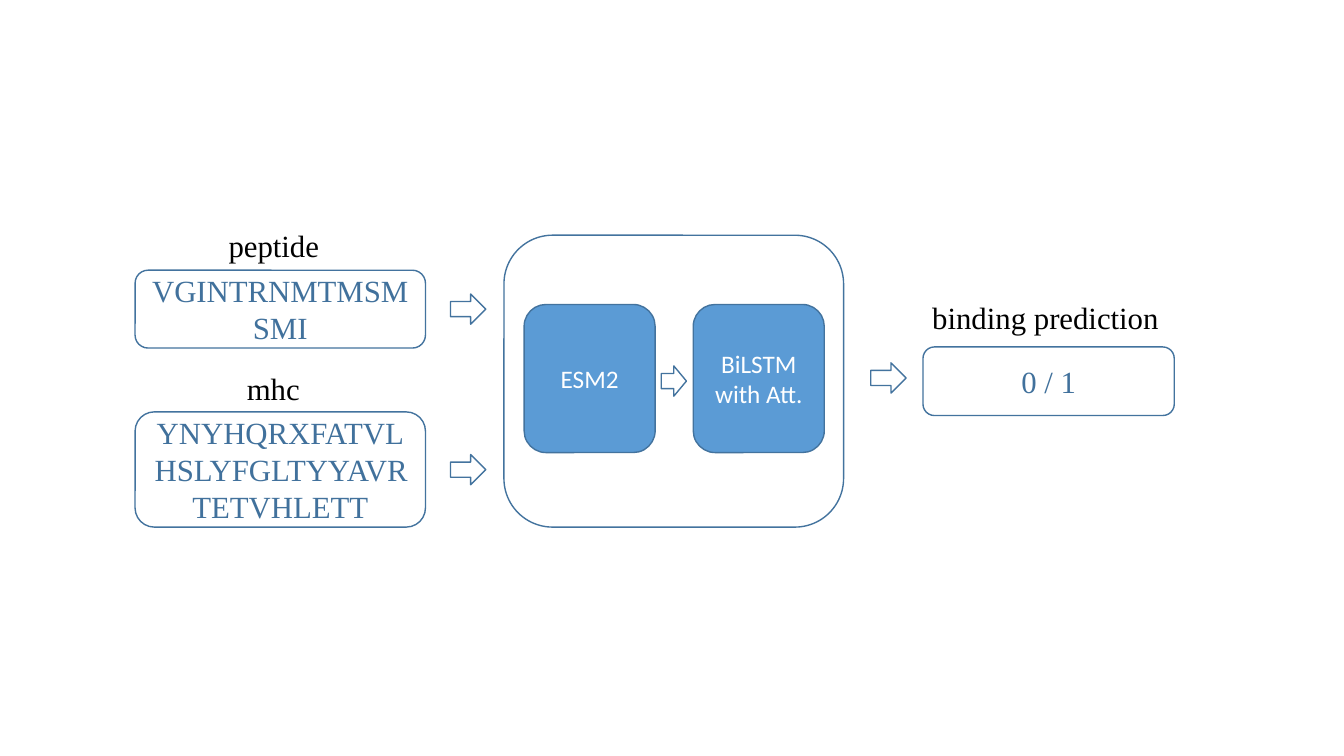
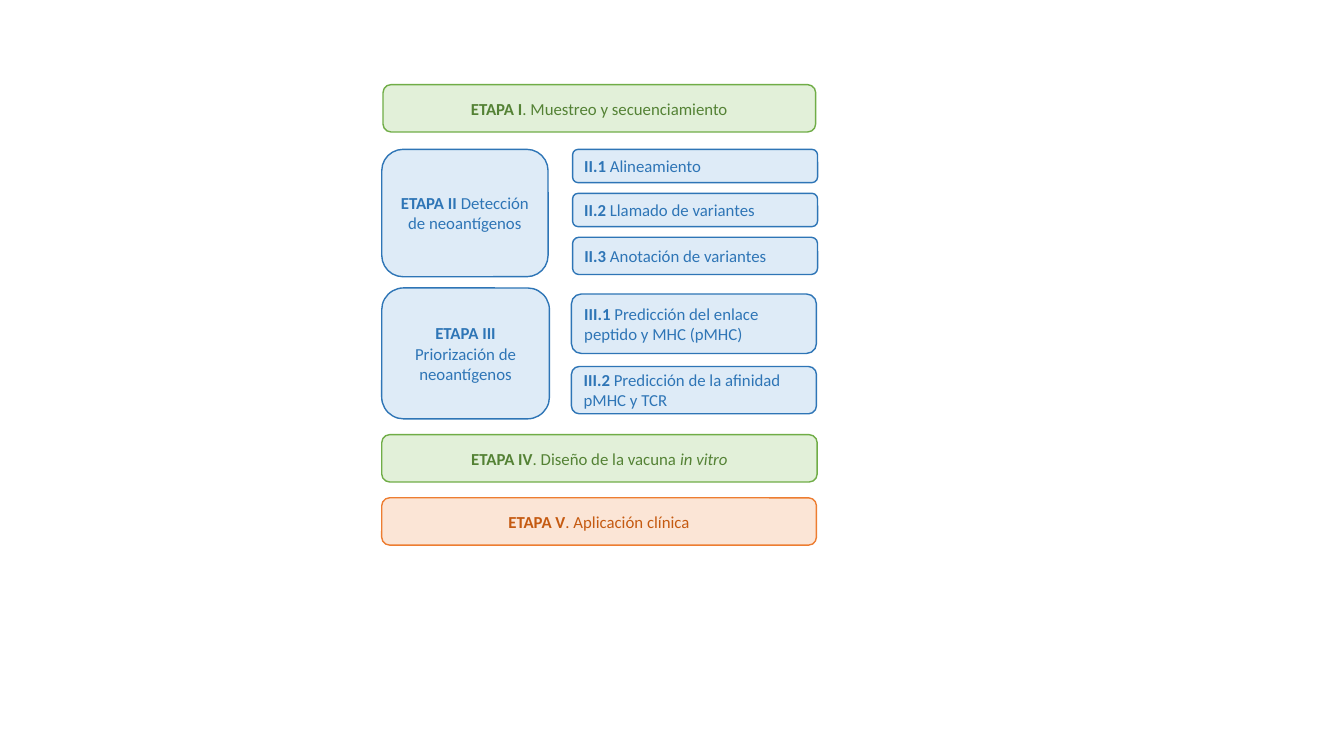
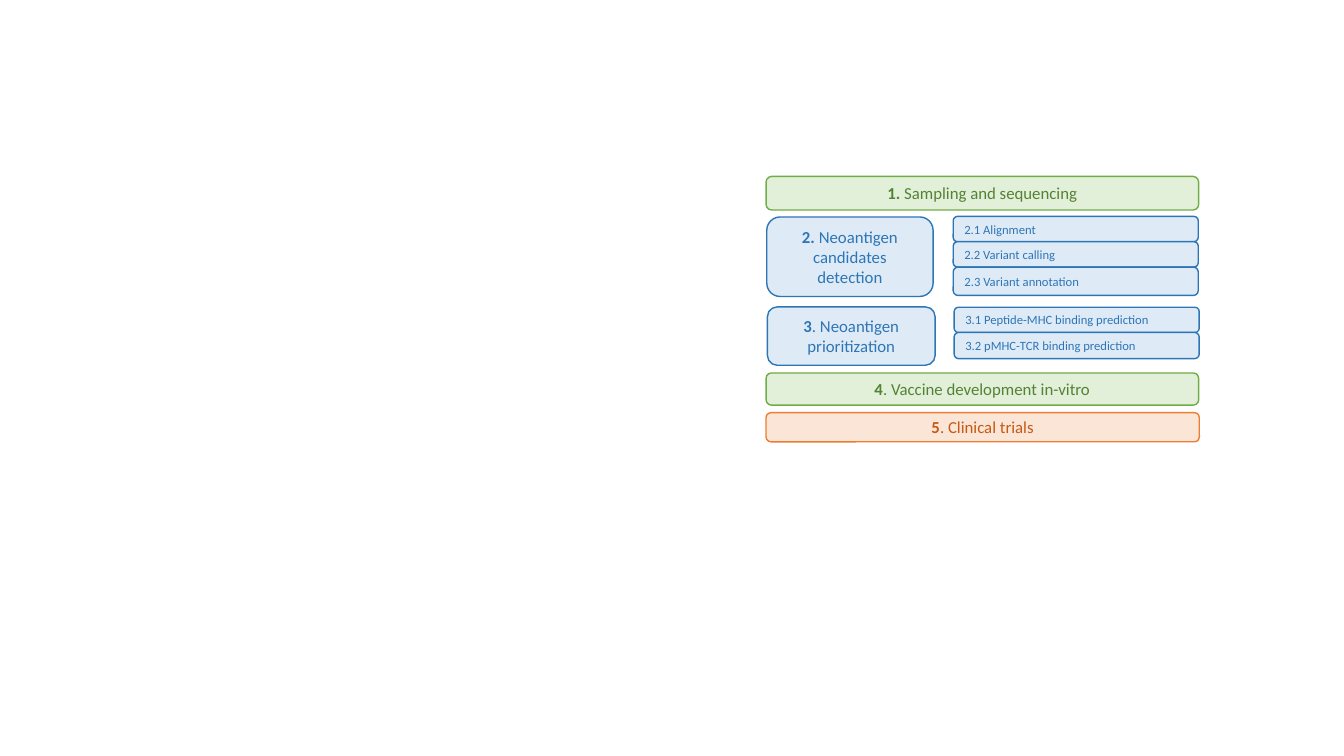
from pptx import Presentation
from pptx.dml.color import RGBColor
from pptx.enum.shapes import MSO_SHAPE as Shape
from pptx.enum.text import MSO_ANCHOR as Anchor, MSO_AUTO_SIZE as AutoSize, PP_ALIGN as Align
from pptx.util import Pt

SANS, SERIF = "Calibri", "Times New Roman"
COLORS = {
    "black": "000000", "white": "FFFFFF",
    "model": "5B9BD5", "outline": "43739E", "sequence": "41719C",
}
# Stage palettes: fill, line, text
STAGES = {
    "green": ("E2F0D9", "70AD47", "548235"),
    "blue": ("DEEBF7", "2E75B6", "2E75B6"),
    "orange": ("FBE5D6", "ED7D31", "C55A11"),
}


def rgb(hex_color):
    return RGBColor.from_string(hex_color)


def add_block(slide, kind, box, line, fill=None):
    """Outlined preset shape, hollow unless a fill is given."""
    sp = slide.shapes.add_shape(kind, *map(Pt, box))
    sp.shadow.inherit = False
    if fill:
        sp.fill.solid()
        sp.fill.fore_color.rgb = rgb(fill)
    else:
        sp.fill.background()
    sp.line.color.rgb = rgb(line)
    sp.line.width = Pt(1)
    return sp


def style(p, font, size, color, align):
    p.alignment = align
    p.font.name = font
    p.font.size = Pt(size)
    p.font.color.rgb = rgb(color)


def add_runs(p, **parts):
    """Lead in bold, then body, then an italic tail."""
    for name, text in parts.items():
        if text:
            r = p.add_run()
            r.text = text
            if name == "lead":
                r.font.bold = True
            elif name == "tail":
                r.font.italic = True


def add_box(slide, box, lines, font, size, color, fill=None):
    """Rounded box with centred lines of text."""
    sp = add_block(slide, Shape.ROUNDED_RECTANGLE, box, COLORS["outline"], fill)
    tf = sp.text_frame
    tf.word_wrap = True
    tf.vertical_anchor = Anchor.MIDDLE
    for i, line in enumerate(lines):
        p = tf.add_paragraph() if i else tf.paragraphs[0]
        p.text = line
        style(p, font, size, color, Align.CENTER)


def add_sequence(slide, box, text):
    add_box(slide, box, [text], SERIF, 22, COLORS["sequence"])


def add_model(slide, left, lines):
    add_box(slide, (left, 217.5, 93.6, 105.8), lines, SANS, 18,
            COLORS["white"], COLORS["model"])


def add_arrow(slide, left, top, width=25.2):
    add_block(slide, Shape.RIGHT_ARROW, (left, top, width, 21.6), COLORS["outline"])


def add_label(slide, left, top, width, text):
    tf = slide.shapes.add_textbox(*map(Pt, (left, top, width, 33.8))).text_frame
    tf.word_wrap = False
    tf.auto_size = AutoSize.SHAPE_TO_FIT_TEXT
    p = tf.paragraphs[0]
    p.text = text
    style(p, SERIF, 22, COLORS["black"], Align.LEFT)


def add_stage(slide, box, palette, lead, body, tail="", size=12, align=Align.CENTER):
    """Coloured stage box with a bold number before its name."""
    fill, line, color = STAGES[palette]
    sp = add_block(slide, Shape.ROUNDED_RECTANGLE, box, line, fill)
    tf = sp.text_frame
    tf.word_wrap = True
    tf.vertical_anchor = Anchor.MIDDLE
    p = tf.paragraphs[0]
    style(p, SANS, size, color, align)
    add_runs(p, lead=lead, body=body, tail=tail)


def add_steps(slide, left, steps, size):
    """Column of left-aligned steps: top, height, number, name."""
    for top, height, lead, body in steps:
        add_stage(slide, (left, top, 175, height), "blue", lead, body,
                  size=size, align=Align.LEFT)


def build_model_slide(slide):
    # Inputs
    add_label(slide, 156.2, 158.4, 88.6, "peptide")
    add_sequence(slide, (96.5, 193, 207.4, 55.6), "VGINTRNMTMSMSMI")
    add_label(slide, 169.2, 260.6, 61.9, "mhc")
    add_sequence(slide, (96.5, 294.2, 207.4, 82.3), "YNYHQRXFATVLHSLYFGLTYYAVRTETVHLETT")
    # Model
    add_block(slide, Shape.ROUNDED_RECTANGLE, (360, 168, 242.6, 208.5), COLORS["outline"])
    add_model(slide, 374.4, ["ESM2"])
    add_model(slide, 495.2, ["BiLSTM", "with Att."])
    # Output
    add_label(slide, 658.8, 210.2, 176.4, "binding prediction")
    add_sequence(slide, (659.3, 247.8, 179.5, 49), "0 / 1")
    # Flow
    for left, top in ((321.8, 210), (321.8, 324.7), (622, 259.2)):
        add_arrow(slide, left, top)
    add_arrow(slide, 472.3, 261.4, 18)


def build_spanish_slide(slide):
    # Full-width stages
    add_stage(slide, (273.6, 60.5, 309, 33.8), "green", "ETAPA I", ". Muestreo y secuenciamiento")
    add_stage(slide, (272.7, 310.5, 311, 33.8), "green", "ETAPA IV",
              ". Diseño de la vacuna ", "in vitro")
    add_stage(slide, (272.7, 355.6, 310.5, 33.8), "orange", "ETAPA V", ". Aplicación clínica")
    # Stages with steps
    add_stage(slide, (272.7, 106.7, 118.8, 91), "blue", "ETAPA II", " Detección de neoantígenos")
    add_steps(slide, 409, [
        (106.7, 23.8, "II.1", " Alineamiento"),
        (138.1, 23.8, "II.2", " Llamado de variantes"),
        (169.5, 26.6, "II.3", " Anotación de variantes"),
    ], 12)
    add_stage(slide, (272.7, 205.7, 119.8, 93.5), "blue", "ETAPA III",
              " Priorización de neoantígenos")
    add_steps(slide, 408.2, [
        (210, 42.5, "III.1", " Predicción del enlace peptido y MHC (pMHC)"),
        (261.8, 33.8, "III.2", " Predicción de la afinidad pMHC y TCR"),
    ], 12)


def build_english_slide(slide):
    # Full-width stages
    add_stage(slide, (547.2, 126, 309, 24), "green", "1.", " Sampling and sequencing")
    add_stage(slide, (547.2, 266.4, 309, 23), "green", "4", ". Vaccine development in-vitro")
    add_stage(slide, (547.2, 294.8, 309.5, 20.8), "orange", "5", ". Clinical trials")
    # Stages with steps
    add_stage(slide, (547.7, 155, 118.8, 56.8), "blue", "2.", " Neoantigen candidates detection")
    add_steps(slide, 680.9, [
        (154.6, 18, "", "2.1 Alignment"),
        (172.7, 18, "", "2.2 Variant calling"),
        (190.8, 20.2, "", "2.3 Variant annotation"),
    ], 9)
    add_stage(slide, (548.2, 219.2, 119.8, 41.7), "blue", "3", ". Neoantigen prioritization")
    add_steps(slide, 681.6, [
        (219.5, 18, "", "3.1 Peptide-MHC binding prediction"),
        (237.5, 18.7, "", "3.2 pMHC-TCR binding prediction"),
    ], 9)


def main():
    prs = Presentation()
    prs.slide_width, prs.slide_height = Pt(960), Pt(540)
    blank = prs.slide_layouts[6]
    for build in (build_model_slide, build_spanish_slide, build_english_slide):
        build(prs.slides.add_slide(blank))
    prs.save("out.pptx")


if __name__ == "__main__":
    main()
